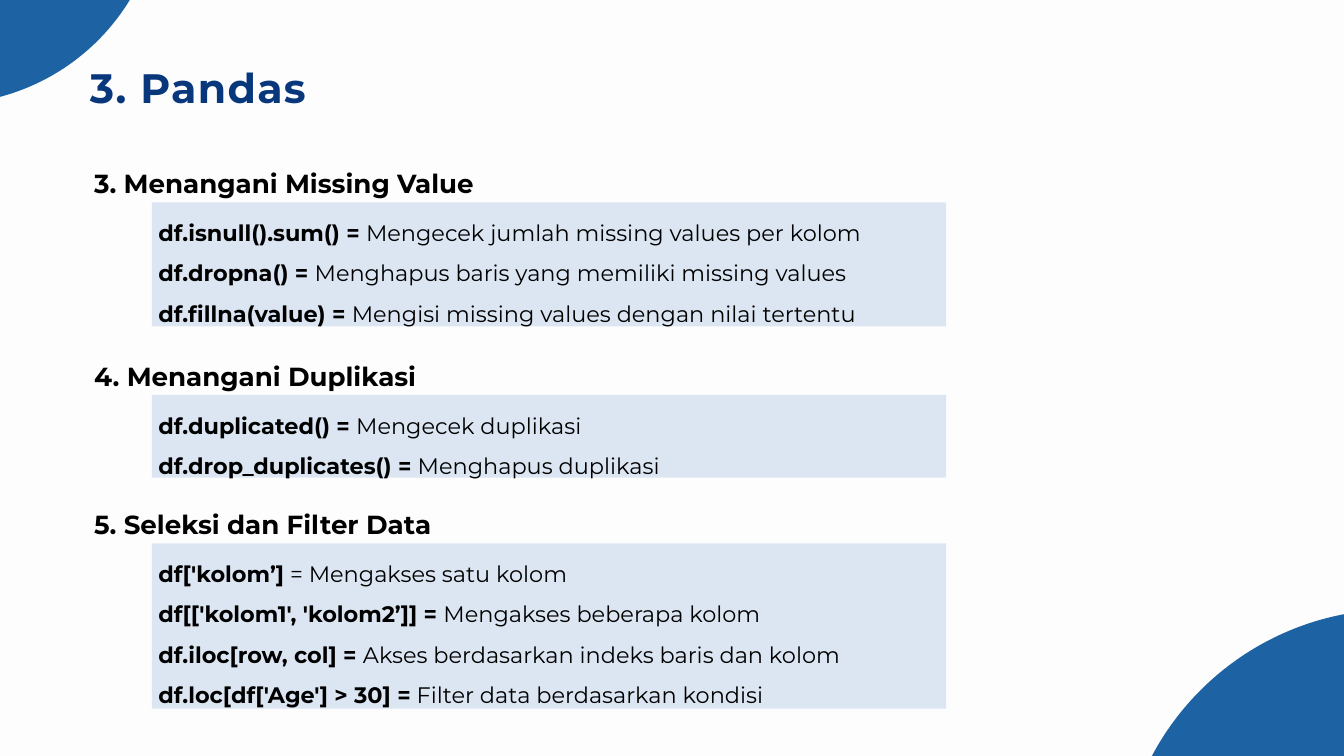
from lxml import etree
from pptx import Presentation
from pptx.dml.color import RGBColor
from pptx.enum import shapes, text
from pptx.oxml import ns
from pptx.util import Pt

BACKGROUND = RGBColor(0xFD, 0xFD, 0xFD)
CIRCLE_BLUE = RGBColor(0x14, 0x5D, 0xA0)
TITLE_BLUE = RGBColor(0x08, 0x37, 0x7C)
PANEL_BLUE = RGBColor(0xDC, 0xE6, 0xF2)
BLACK = RGBColor(0, 0, 0)

TITLE_FONT = {"name": "Montserrat", "size": Pt(44), "bold": True}
HEADING_FONT = {"name": "Montserrat", "size": Pt(28), "bold": True}
CODE_FONT = {"name": "Montserrat", "size": Pt(24), "bold": True}
NOTE_FONT = {**CODE_FONT, "bold": False}
NO_MARGINS = {f"margin_{side}": 0 for side in ("left", "top", "right", "bottom")}
FRAME = {
    "word_wrap": True,
    "auto_size": text.MSO_AUTO_SIZE.SHAPE_TO_FIT_TEXT,
    "vertical_anchor": text.MSO_ANCHOR.TOP,
}

LINE_HEIGHT = 44.3
HEADING_STEP = 54.2
CIRCLES = [(1199.5, 652.8, 592.4), (-293.2, -354.8, 466.4)]
SECTIONS = [
    (162.6, "3. Menangani Missing Value", [
        ("df.isnull().sum() = ", "Mengecek jumlah missing values per kolom"),
        ("df.dropna() = ", "Menghapus baris yang memiliki missing values"),
        ("df.fillna(value) = ", "Mengisi missing values dengan nilai tertentu"),
    ]),
    (368.9, "4. Menangani Duplikasi", [
        ("df.duplicated() = ", "Mengecek duplikasi"),
        ("df.drop_duplicates() = ", "Menghapus duplikasi"),
    ]),
    (528, "5. Seleksi dan Filter Data", [
        ("df['kolom’]", " = Mengakses satu kolom"),
        ("df[['kolom1', 'kolom2’]] = ", "Mengakses beberapa kolom"),
        ("df.iloc[row, col] = ", "Akses berdasarkan indeks baris dan kolom"),
        ("df.loc[df['Age'] > 30] =", " Filter data berdasarkan kondisi"),
    ]),
]


def set_format(obj, values):
    """Set each named attribute of an object."""
    for name, value in values.items():
        setattr(obj, name, value)


def add_run(p, words, font, color=BLACK):
    """Append a formatted run to a paragraph."""
    r = p.add_run()
    r.text = words
    set_format(r.font, font)
    r.font.color.rgb = color
    return r


def add_filled(s, kind, box, color):
    """Add a borderless filled shape in the given box."""
    sp = s.shapes.add_shape(kind, *map(Pt, box))
    sp.shadow.inherit = False
    sp.fill.solid()
    sp.fill.fore_color.rgb = color
    sp.line.fill.background()
    return sp


def add_label(s, box):
    """Add a text box without margins and return its first paragraph."""
    tf = s.shapes.add_textbox(*map(Pt, box)).text_frame
    set_format(tf, {**FRAME, **NO_MARGINS})
    return tf.paragraphs[0]


def add_circle(s, left, top, size):
    """Add a slightly transparent corner circle."""
    sp = add_filled(s, shapes.MSO_SHAPE.OVAL, (left, top, size, size), CIRCLE_BLUE)
    color = sp.fill._xPr.find(".//" + ns.qn("a:srgbClr"))
    etree.SubElement(color, ns.qn("a:alpha"), val="96000")


def add_title(s, box):
    """Add the indented, letter-spaced slide title."""
    p = add_label(s, box)
    p.line_spacing = Pt(52.8)
    p._p.get_or_add_pPr().set("marL", str(Pt(37.4)))
    r = add_run(p, "3. Pandas", TITLE_FONT, TITLE_BLUE)
    r.font._element.set("spc", "140")


def add_section(s, left, top, heading, entries):
    """Add a heading with a panel of code entries below it."""
    p = add_label(s, (left, top, 936.7, 45.4))
    p.line_spacing = 1.5
    add_run(p, heading, HEADING_FONT)

    box = (left + 61.9, top + HEADING_STEP, 851, LINE_HEIGHT * len(entries))
    tf = add_filled(s, shapes.MSO_SHAPE.RECTANGLE, box, PANEL_BLUE).text_frame
    set_format(tf, FRAME)
    for i, (code, note) in enumerate(entries):
        p = tf.add_paragraph() if i else tf.paragraphs[0]
        set_format(p, {"line_spacing": 1.5, "alignment": text.PP_ALIGN.LEFT})
        add_run(p, code, CODE_FONT)
        add_run(p, note, NOTE_FONT)


def main():
    """Build and save the slide."""
    prs = Presentation()
    set_format(prs, {"slide_width": Pt(1440), "slide_height": Pt(810)})
    s = prs.slides.add_slide(prs.slide_layouts[6])
    s.background.fill.solid()
    s.background.fill.fore_color.rgb = BACKGROUND
    for circle in CIRCLES:
        add_circle(s, *circle)
    add_title(s, (59, 67, 834.5, 49))
    for top, heading, entries in SECTIONS:
        add_section(s, 100.8, top, heading, entries)
    prs.save("out.pptx")


if __name__ == "__main__":
    main()
